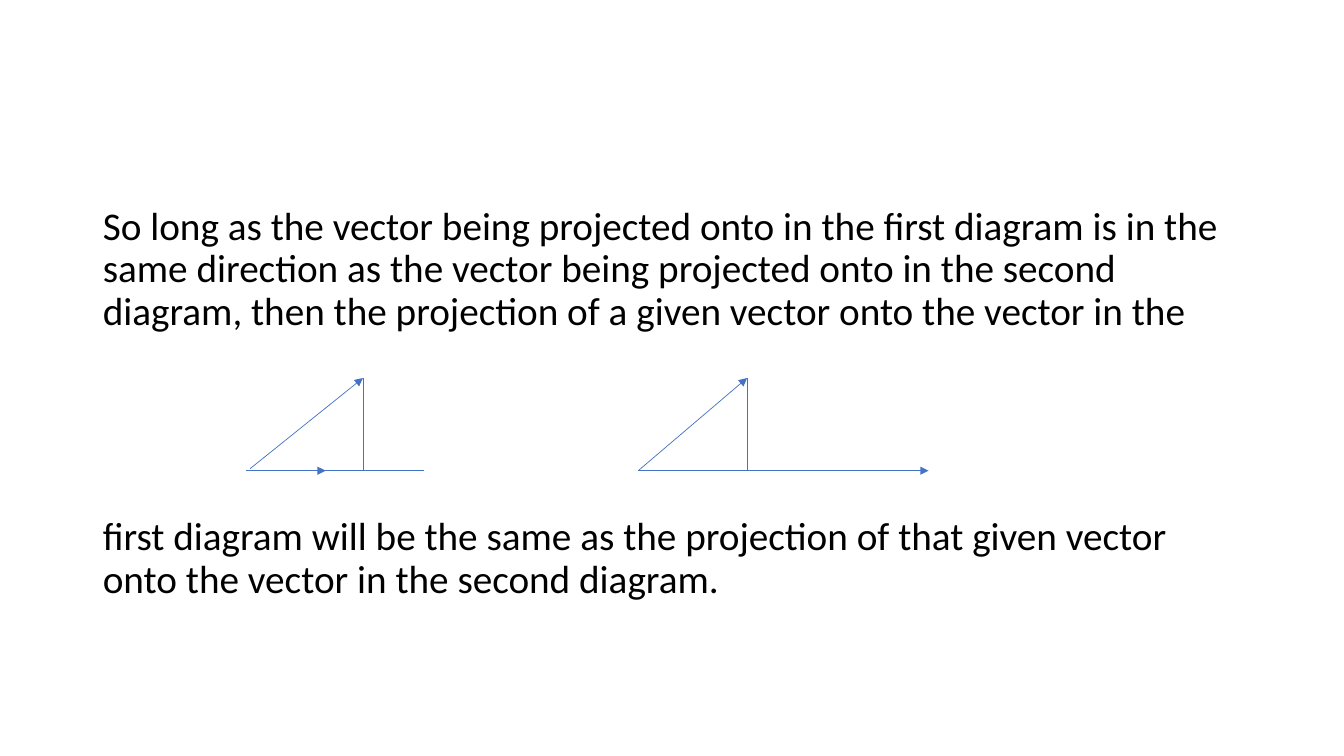
from pptx import Presentation
from pptx.dml.color import RGBColor
from pptx.enum import shapes, text
from pptx.oxml.ns import qn
from pptx.util import Inches, Pt
from lxml import etree

BASE_Y, TIP_Y = 4.67, 3.75
OPENING = ("So long as the vector being projected onto in the first diagram is in the "
           "same direction as the vector being projected onto in the second diagram, "
           "then the projection of a given vector onto the vector in the")
CLOSING = ("first diagram will be the same as the projection of that given vector "
           "onto the vector in the second diagram.")


def color(value):
    return RGBColor.from_string(value)


def write_statement(body, paragraphs, gap):
    """Fill the body with unbulleted paragraphs, leaving a gap for the diagrams."""
    body.left, body.top = Inches(0.92), Inches(2)
    body.width, body.height = Inches(11.5), Inches(4.76)
    frame = body.text_frame
    frame.text = "\n".join(paragraphs)
    frame.word_wrap = True
    frame.auto_size = text.MSO_AUTO_SIZE.NONE
    frame.vertical_anchor = text.MSO_ANCHOR.TOP
    for index, paragraph in enumerate(frame.paragraphs):
        properties = paragraph._p.get_or_add_pPr()
        properties.set("marL", "0")
        properties.set("indent", "0")
        etree.SubElement(properties, qn("a:buNone"))
        paragraph.alignment = text.PP_ALIGN.LEFT
        paragraph.line_spacing = 0.9
        paragraph.space_before = gap if index else Pt(0)
        for run in paragraph.runs:
            run.font.name = "Calibri"
            run.font.size = Pt(28)
            run.font.color.rgb = color("000000")


def add_line(slide, start, end, arrow=False):
    segment = slide.shapes.add_connector(
        shapes.MSO_CONNECTOR.STRAIGHT, *map(Inches, start + end))
    segment.line.color.rgb = color("4472C4")
    segment.line.width = Pt(0.5)
    if arrow:
        outline = segment.line._get_or_add_ln()
        etree.SubElement(outline, qn("a:tailEnd"), type="triangle")
    etree.SubElement(segment._element.spPr, qn("a:effectLst"))


def add_projection(slide, vector_start, tip_x, target_x, target_end):
    """Draw a vector, the target vector on the base line and the perpendicular."""
    tip = (tip_x, TIP_Y)
    add_line(slide, vector_start, tip, arrow=True)
    add_line(slide, (target_x, BASE_Y), (target_end, BASE_Y), arrow=True)
    add_line(slide, tip, (tip_x, BASE_Y))


def main():
    deck = Presentation()
    deck.slide_width, deck.slide_height = Inches(13.33), Inches(7.5)
    slide = deck.slides.add_slide(deck.slide_layouts[1])
    title = slide.shapes.title._element
    title.getparent().remove(title)

    write_statement(slide.placeholders[1], [OPENING, CLOSING], gap=Pt(131))
    add_projection(slide, (2.48, 4.65), 3.6, 2.44, 3.23)
    add_line(slide, (3.15, BASE_Y), (4.21, BASE_Y))
    add_projection(slide, (6.33, BASE_Y), 7.41, 6.33, 9.21)

    deck.save("out.pptx")


if __name__ == "__main__":
    main()
